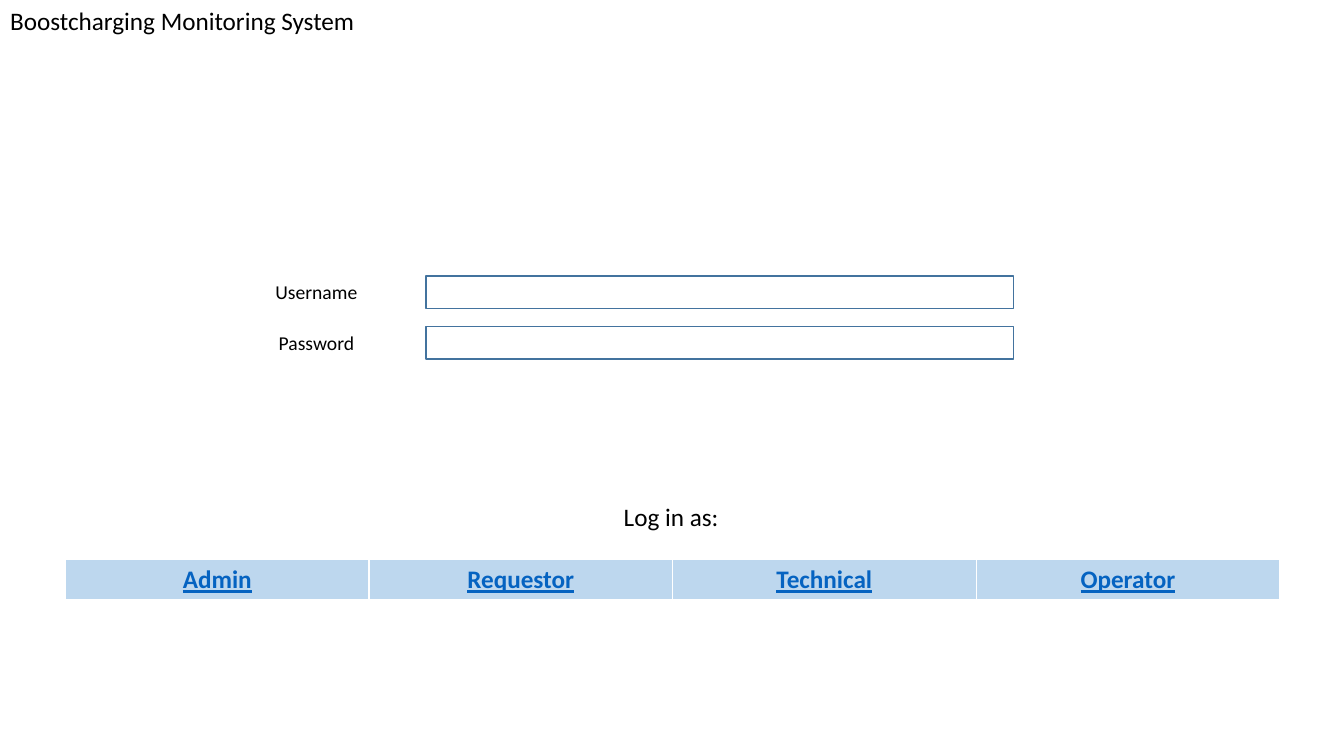
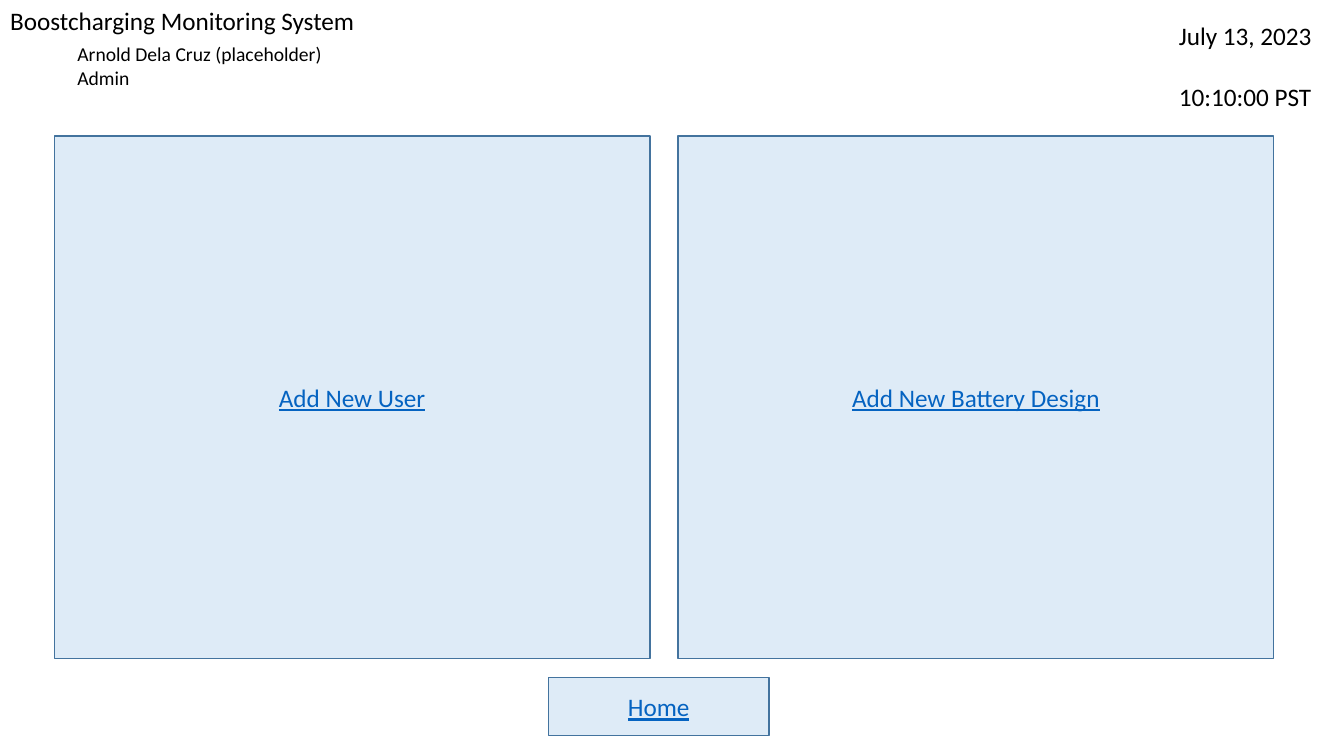
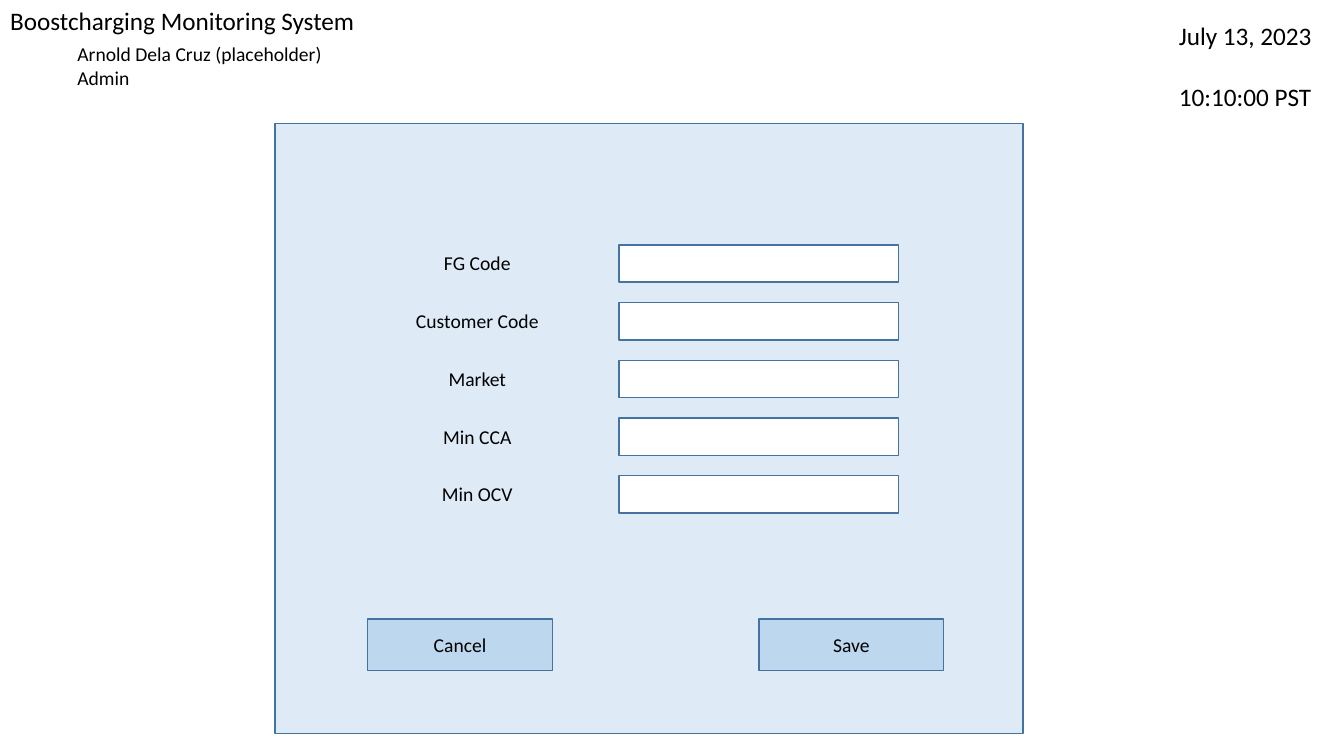
from pptx import Presentation
from pptx.dml.color import RGBColor
from pptx.enum.shapes import MSO_SHAPE
from pptx.enum.text import MSO_ANCHOR, MSO_AUTO_SIZE, PP_ALIGN
from pptx.oxml import parse_xml
from pptx.oxml.ns import nsdecls
from pptx.util import Cm, Pt

RECTANGLE = MSO_SHAPE.RECTANGLE
TOP, MIDDLE = MSO_ANCHOR.TOP, MSO_ANCHOR.MIDDLE
NO_FIT = MSO_AUTO_SIZE.NONE
LEFT, CENTER = PP_ALIGN.LEFT, PP_ALIGN.CENTER

COLORS = {
    "white": "FFFFFF",
    "text": "000000",
    "link": "0563C1",
    "outline": "43739E",
    "panel": "DEEBF7",
    "button": "BDD7EE",
}
FORMATS = {
    "heading": {"size": Pt(18), "bold": False, "underline": False},
    "label": {"size": Pt(14), "bold": False, "underline": False},
    "link": {"size": Pt(18), "bold": False, "underline": True},
    "role": {"size": Pt(18), "bold": True, "underline": True},
}
FORMAT_COLORS = {"heading": "text", "label": "text", "link": "link", "role": "link"}
TITLE_ONLY = 5
LABEL_HEIGHT = 0.86


def rgb(color):
    return RGBColor.from_string(COLORS[color])


def lengths(box):
    return [Cm(value) for value in box]


def write(frame, lines, style, align=LEFT, gap=0):
    for index, line in enumerate(lines):
        paragraph = frame.paragraphs[0] if index == 0 else frame.add_paragraph()
        paragraph.alignment = align
        if index and gap:
            paragraph.space_before = Pt(gap)
        run = paragraph.add_run()
        run.text = line
        run.font.name = "Calibri"
        run.font.color.rgb = rgb(FORMAT_COLORS[style])
        for attribute, value in FORMATS[style].items():
            setattr(run.font, attribute, value)


def set_frame(frame, anchor=TOP, wrap=True):
    settings = {"word_wrap": wrap, "auto_size": NO_FIT, "vertical_anchor": anchor}
    for attribute, value in settings.items():
        setattr(frame, attribute, value)


def add_text(slide, box, lines, style, align=LEFT, gap=0, wrap=True):
    frame = slide.shapes.add_textbox(*lengths(box)).text_frame
    set_frame(frame, wrap=wrap)
    write(frame, lines, style, align, gap)


def add_box(slide, box, fill, caption=None, style="label"):
    area = slide.shapes.add_shape(RECTANGLE, *lengths(box))
    area.shadow.inherit = False
    area.fill.solid()
    area.fill.fore_color.rgb = rgb(fill)
    area.line.color.rgb = rgb("outline")
    area.line.width = Pt(1)
    if caption:
        set_frame(area.text_frame, MIDDLE)
        write(area.text_frame, [caption], style, CENTER)


def add_page(deck):
    slide = deck.slides.add_slide(deck.slide_layouts[TITLE_ONLY])
    title = slide.shapes.title
    title.left, title.top, title.width, title.height = lengths((0, 0, 25.32, 1.02))
    set_frame(title.text_frame)
    write(title.text_frame, ["Boostcharging Monitoring System"], "heading")
    return slide


def add_session_header(slide):
    add_text(slide, (29.46, 0.38, 4.29, 1.8),
             ["July 13, 2023", "10:10:00 PST"], "heading", gap=22)
    add_text(slide, (1.7, 0.94, 6.81, 1.45),
             ["Arnold Dela Cruz (placeholder)", "Admin"], "label")


def add_form(slide, box, labels, label_width, field_width, field_height):
    left, top, width, height = box
    pitch = (height - field_height) / (len(labels) - 1)
    for row, label in enumerate(labels):
        y = top + row * pitch
        add_box(slide, (left + width - field_width, y, field_width, field_height), "white")
        label_top = y + (field_height - LABEL_HEIGHT) / 2
        add_text(slide, (left, label_top, label_width, LABEL_HEIGHT),
                 [label], "label", CENTER)


def add_cell_borders(cell):
    properties = cell._tc.get_or_add_tcPr()
    for side, width in {"L": 1, "R": 1, "T": 1, "B": 3}.items():
        properties.append(parse_xml(
            f'<a:ln{side} {nsdecls("a")} w="{Pt(width)}"><a:solidFill>'
            f'<a:srgbClr val="{COLORS["white"]}"/></a:solidFill></a:ln{side}>'))


def add_roles(slide, box, roles):
    table = slide.shapes.add_table(1, len(roles), *lengths(box)).table
    table.first_row = table.horz_banding = False
    for column, role in enumerate(roles):
        table.columns[column].width = Cm(box[2] / len(roles))
        cell = table.cell(0, column)
        add_cell_borders(cell)
        cell.fill.solid()
        cell.fill.fore_color.rgb = rgb("button")
        write(cell.text_frame, [role], "role", CENTER)


def add_cards(slide, box, captions, gap):
    left, top, width, height = box
    card_width = (width - gap * (len(captions) - 1)) / len(captions)
    for column, caption in enumerate(captions):
        x = left + column * (card_width + gap)
        add_box(slide, (x, top, card_width, height), "panel", caption, "link")


def add_design_panel(slide, box):
    left, top, width, height = box
    add_box(slide, box, "panel")
    add_form(slide, (left + 2.09, top + 3.05, 13.62, 6.76),
             ["FG Code", "Customer Code", "Market", "Min CCA", "Min OCV"],
             6.02, 7.04, 0.94)
    for caption, offset in {"Cancel": 2.34, "Save": 12.2}.items():
        add_box(slide, (left + offset, top + height - 2.89, 4.65, 1.3), "button", caption)


def build_login(deck):
    slide = add_page(deck)
    add_form(slide, (5.46, 6.96, 20.09, 2.09), ["Username", "Password"], 5.03, 14.81, 0.82)
    add_roles(slide, (1.65, 14.1, 30.6, 1.04),
              ["Admin", "Requestor", "Technical", "Operator"])
    add_text(slide, (15.47, 12.52, 2.95, 1.02), ["Log in as:"], "heading", wrap=False)


def build_admin_home(deck):
    slide = add_page(deck)
    add_session_header(slide)
    add_cards(slide, (1.37, 3.43, 30.73, 13.16),
              ["Add New User", "Add New Battery Design"], 0.71)
    add_box(slide, (13.82, 17.07, 5.56, 1.47), "panel", "Home", "link")


def build_battery_design(deck):
    slide = add_page(deck)
    add_session_header(slide)
    add_design_panel(slide, (6.93, 3.12, 18.85, 15.37))


def main():
    deck = Presentation()
    deck.slide_width, deck.slide_height = Cm(33.87), Cm(19.05)
    for build in (build_login, build_admin_home, build_battery_design):
        build(deck)
    deck.save("out.pptx")


if __name__ == "__main__":
    main()
